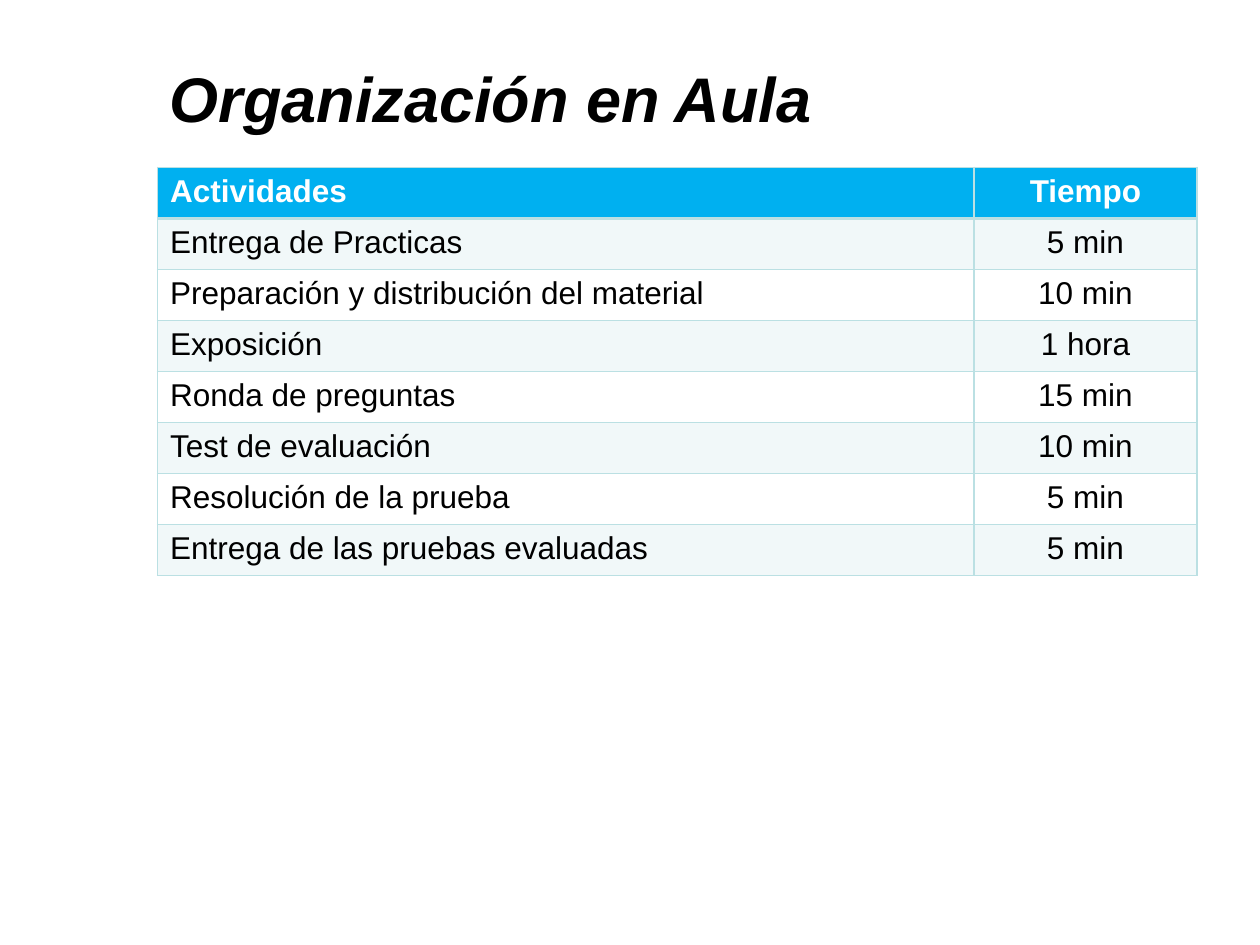
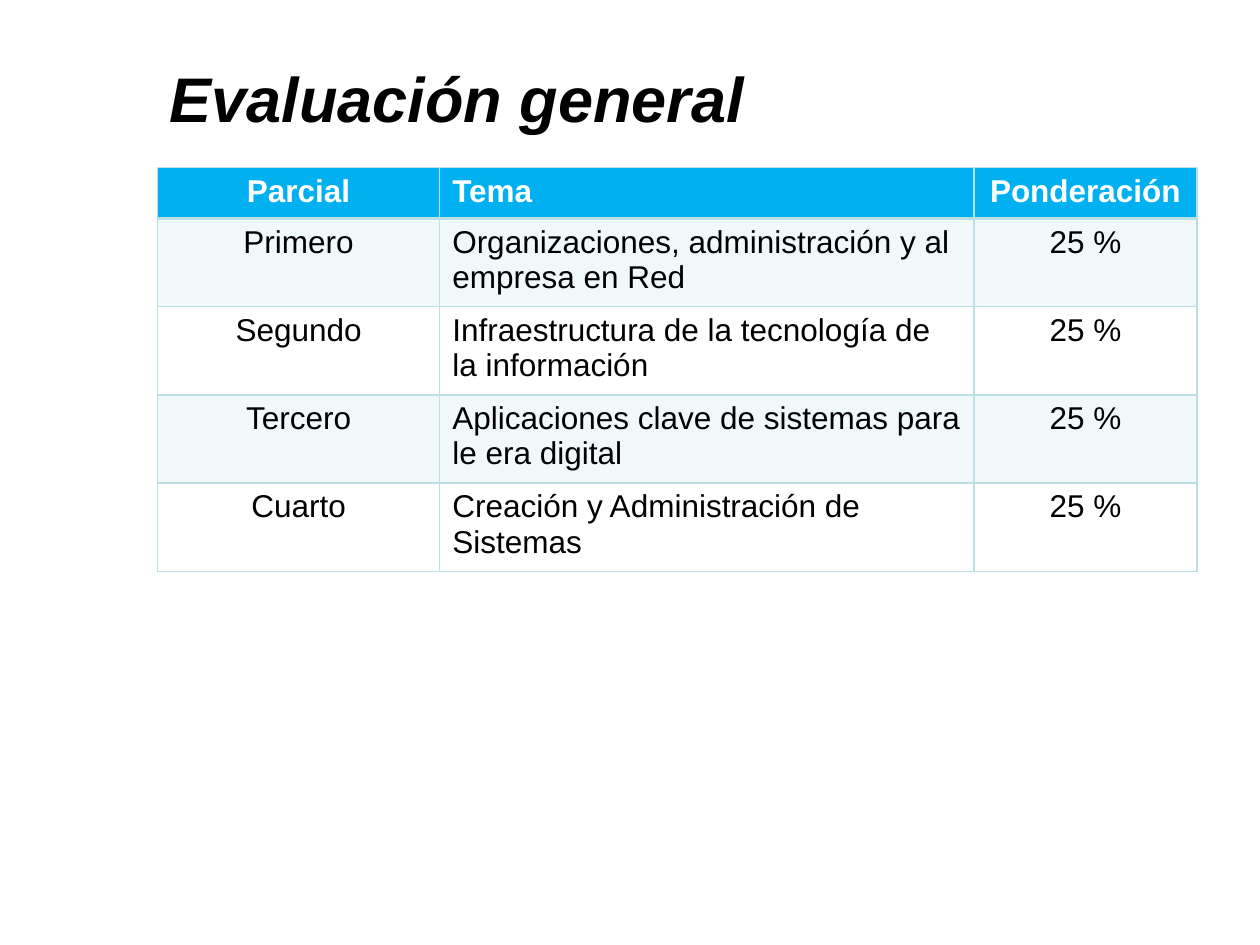
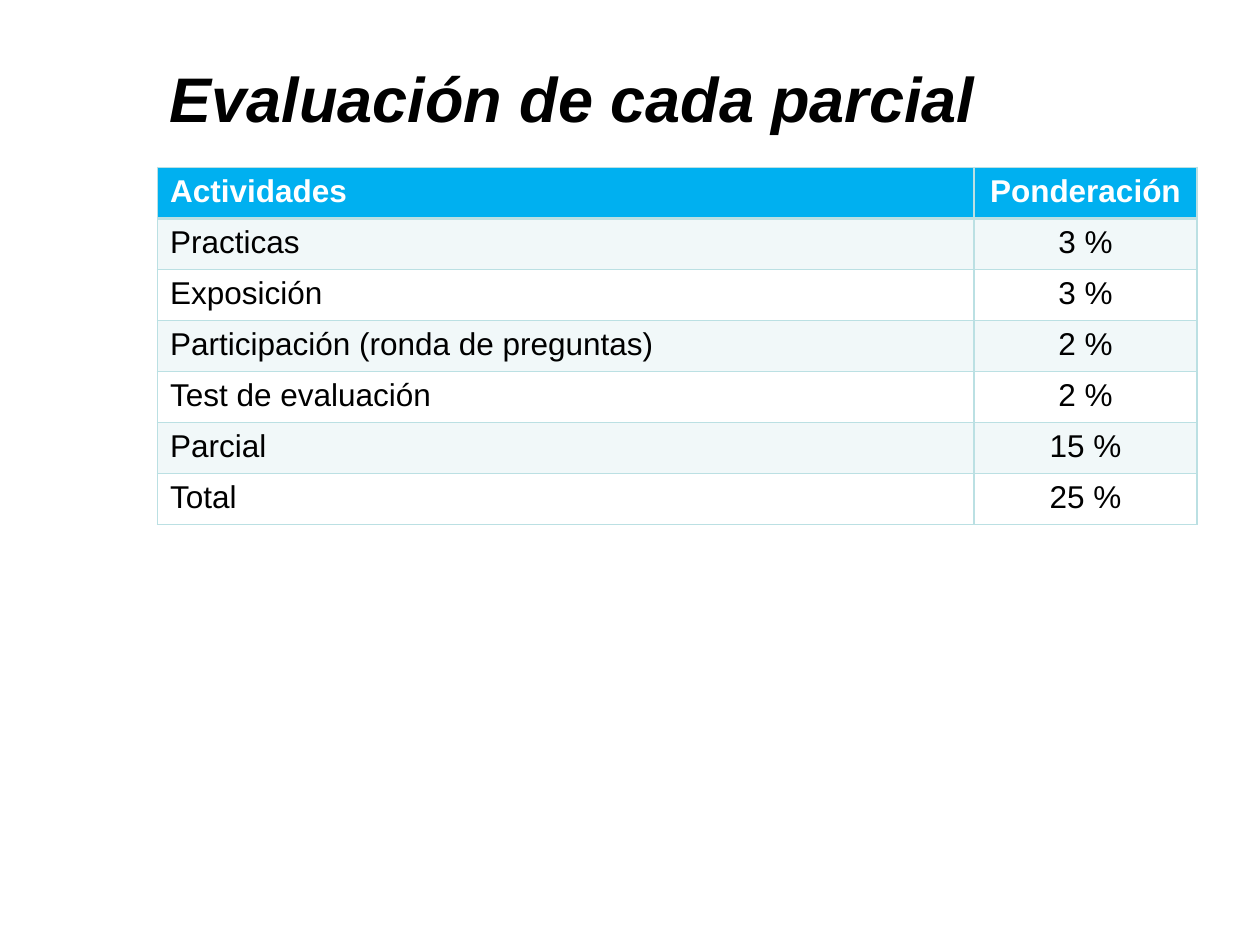
from dataclasses import dataclass

from lxml import etree
from pptx import Presentation
from pptx import util as u
from pptx.dml.color import RGBColor
from pptx.enum import text
from pptx.oxml import ns


@dataclass(frozen=True)
class Theme:
    font: str = "Arial"
    head: str = "00B0F0"
    line: str = "BBE0E3"
    dark: str = "000000"
    light: str = "FFFFFF"
    band: int = 20  # opacity of the striped rows, per cent
    title: int = 36
    body: int = 18
    thin: int = 1
    thick: int = 2


@dataclass(frozen=True)
class Column:
    head: str
    width: float  # share of the slide's width
    mid: bool = False


@dataclass(frozen=True)
class Page:
    title: str
    cols: list[Column]
    rows: list[tuple[str, ...]]


THEME = Theme()
WIDE, HIGH = u.Inches(10), u.Inches(7.5)
LEFT = WIDE // 8
ROW = HIGH * 2 // 37

TASKS = Column("Actividades", 0.648)
WEIGHT = Column("Ponderación ", 0.177, True)

PAGES = [
    Page("Organización en Aula", [TASKS, Column("Tiempo", 0.177, True)], [
        ("Entrega de Practicas", "5 min"),
        ("Preparación y distribución del material", "10 min"),
        ("Exposición", "1 hora"),
        ("Ronda de preguntas", "15 min"),
        ("Test de evaluación", "10 min"),
        ("Resolución de la prueba", "5 min"),
        ("Entrega de las pruebas evaluadas", "5 min"),
    ]),
    Page("Evaluación general",
         [Column("Parcial", 0.224, True), Column("Tema", 0.424), WEIGHT], [
             ("Primero", "Organizaciones, administración y al empresa en Red", "25 %"),
             ("Segundo", "Infraestructura de la tecnología de la información", "25 %"),
             ("Tercero", "Aplicaciones clave de sistemas para le era digital", "25 %"),
             ("Cuarto", "Creación y Administración de Sistemas", "25 %"),
         ]),
    Page("Evaluación de cada parcial", [TASKS, WEIGHT], [
        ("Practicas", "3 %"),
        ("Exposición", "3 %"),
        ("Participación (ronda de preguntas)", "2 %"),
        ("Test de evaluación", "2 %"),
        ("Parcial", "15 %"),
        ("Total", "25 %"),
    ]),
]


def style(part, size: int, color: str, bold: bool, slant: bool = False) -> None:
    """Format the runs of a paragraph."""
    for run in part.runs:
        font = run.font
        font.name, font.size = THEME.font, u.Pt(size)
        font.bold, font.italic = bold, slant
        font.color.rgb = RGBColor.from_string(color)


def add_title(slide, words: str) -> None:
    box = slide.shapes.add_textbox(LEFT, int(HIGH * 0.04), int(WIDE * 0.842), HIGH // 8)
    frame = box.text_frame
    frame.word_wrap = True
    frame.vertical_anchor = text.MSO_ANCHOR.MIDDLE
    frame.text = words
    style(frame.paragraphs[0], THEME.title, THEME.dark, True, True)


def paint(cell, row: int) -> None:
    """Fill the header, stripe odd rows and leave the others clear."""
    if row and row % 2 == 0:
        cell.fill.background()
        return
    cell.fill.solid()
    cell.fill.fore_color.rgb = RGBColor.from_string(THEME.line if row else THEME.head)
    if row:
        tint = cell._tc.tcPr.find(".//" + ns.qn("a:srgbClr"))
        etree.SubElement(tint, ns.qn("a:alpha"), val=str(THEME.band * 1000))


def edge(cell, row: int) -> None:
    """Draw the cell's borders, with a thick one below the header."""
    heavy = {0: "lnB", 1: "lnT"}.get(row)
    for spot, side in enumerate(("lnL", "lnR", "lnT", "lnB")):
        width = THEME.thick if side == heavy else THEME.thin
        line = etree.Element(ns.qn("a:" + side), w=str(u.Pt(width)))
        fill = etree.SubElement(line, ns.qn("a:solidFill"))
        etree.SubElement(fill, ns.qn("a:srgbClr"), val=THEME.line)
        cell._tc.tcPr.insert(spot, line)


def add_grid(slide, page: Page) -> None:
    lines = [tuple(col.head for col in page.cols), *page.rows]
    span = int(WIDE * sum(col.width for col in page.cols))
    grid = slide.shapes.add_table(len(lines), len(page.cols), LEFT, int(HIGH * 0.177),
                                  span, ROW * len(lines)).table
    grid.horz_banding = False
    for spot, col in enumerate(page.cols):
        grid.columns[spot].width = int(WIDE * col.width)
    for row, line in enumerate(lines):
        for spot, (col, words) in enumerate(zip(page.cols, line)):
            cell = grid.cell(row, spot)
            cell.text_frame.text = words
            part = cell.text_frame.paragraphs[0]
            part.alignment = text.PP_ALIGN.CENTER if col.mid else text.PP_ALIGN.LEFT
            style(part, THEME.body, THEME.dark if row else THEME.light, row == 0)
            paint(cell, row)
            edge(cell, row)


def main() -> None:
    deck = Presentation()
    deck.slide_width, deck.slide_height = WIDE, HIGH
    for page in PAGES:
        slide = deck.slides.add_slide(deck.slide_layouts[6])
        add_title(slide, page.title)
        add_grid(slide, page)
    deck.save("out.pptx")


if __name__ == "__main__":
    main()
